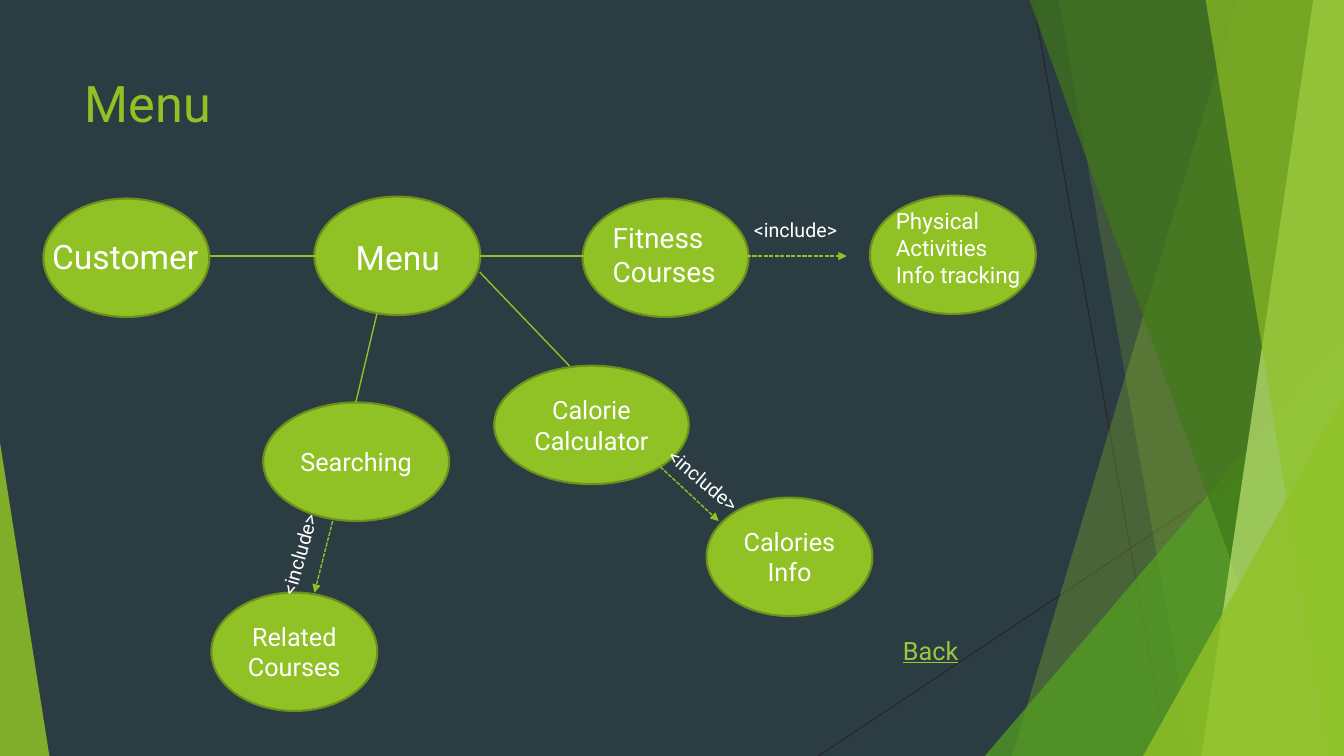
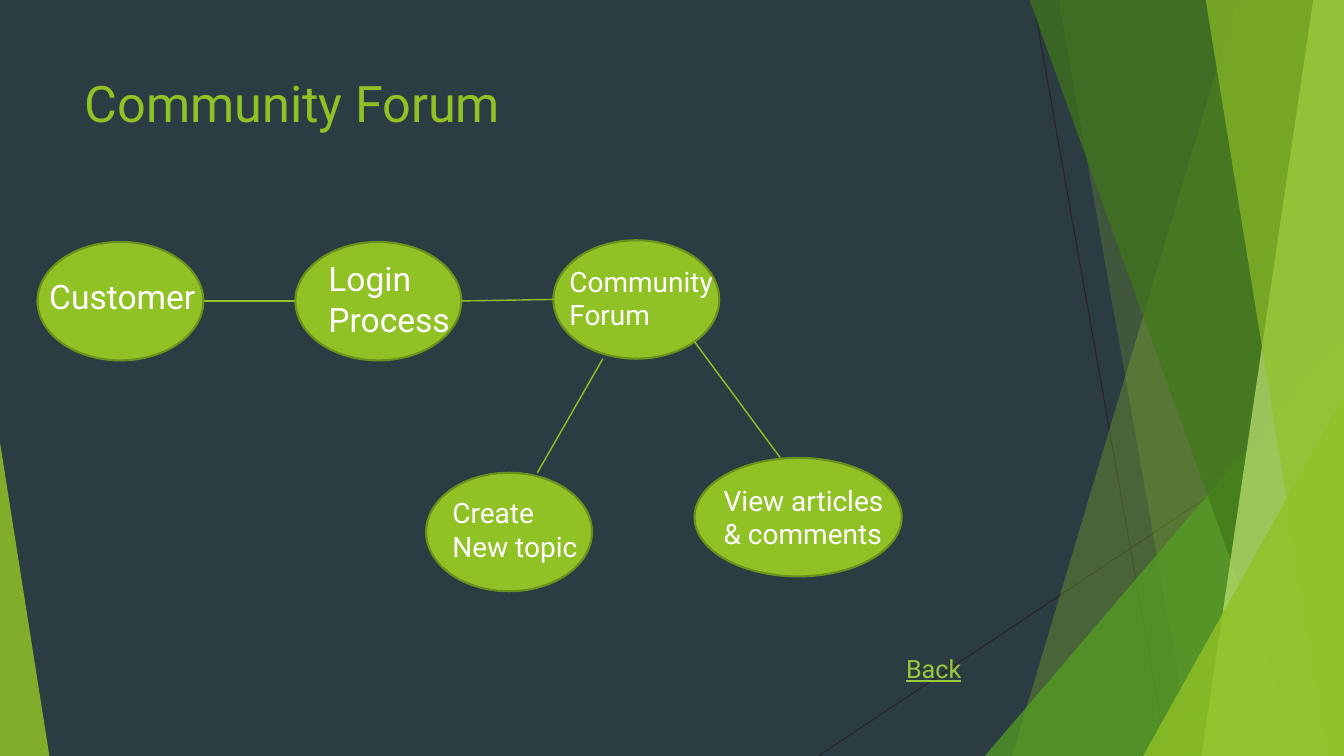
from lxml import etree
from pptx import Presentation
from pptx.dml.color import RGBColor
from pptx.enum.dml import MSO_LINE
from pptx.enum.shapes import MSO_CONNECTOR, MSO_SHAPE, PP_PLACEHOLDER
from pptx.enum.text import MSO_ANCHOR, MSO_AUTO_SIZE, PP_ALIGN
from pptx.oxml.ns import qn
from pptx.util import Pt

STRAIGHT = MSO_CONNECTOR.STRAIGHT
OVAL, TRIANGLE = MSO_SHAPE.OVAL, MSO_SHAPE.ISOSCELES_TRIANGLE
TITLE = PP_PLACEHOLDER.TITLE
TOP, MIDDLE = MSO_ANCHOR.TOP, MSO_ANCHOR.MIDDLE
LEFT, CENTER = PP_ALIGN.LEFT, PP_ALIGN.CENTER
FIT_SHAPE, NO_FIT = MSO_AUTO_SIZE.SHAPE_TO_FIT_TEXT, MSO_AUTO_SIZE.NONE
SYSTEM_DASH = MSO_LINE.SQUARE_DOT

SLATE = RGBColor(0x2C, 0x3C, 0x43)
CHARCOAL = RGBColor(0x26, 0x26, 0x26)
LIME = RGBColor(0x90, 0xC2, 0x26)
OLIVE = RGBColor(0x6B, 0x90, 0x1C)
GREEN = RGBColor(0x54, 0xA0, 0x21)
FOREST = RGBColor(0x3F, 0x78, 0x19)
PALE_LIME = RGBColor(0xC0, 0xE4, 0x74)
LINK_GREEN = RGBColor(0x99, 0xCA, 0x3C)
WHITE = RGBColor(0xFF, 0xFF, 0xFF)

FONT = "Roboto"
WIDTH, HEIGHT = 960, 540
BLEED_TOP = -0.72
OVAL_WIDTH, OVAL_HEIGHT = 118.5, 84.6
OVAL_MARGIN = 3.6
LABEL_WIDTH = 148.3
INCLUDE_WIDTH = 78.5


def draw_line(slide, start, end, color=LIME, width=1, arrow=False):
    """Draw a straight line, dashed with an arrowhead if arrow is set."""
    line = slide.shapes.add_connector(
        STRAIGHT, *[Pt(value) for value in (*start, *end)])
    line.line.color.rgb = color
    line.line.width = Pt(width)
    if arrow:
        line.line.dash_style = SYSTEM_DASH
        etree.SubElement(line.get_or_add_ln(), qn("a:tailEnd"), type="triangle")
    etree.SubElement(line.element.spPr, qn("a:effectLst"))
    return line


def write_text(frame, lines, size, color=WHITE, align=LEFT, anchor=TOP,
               fit=FIT_SHAPE, underline=None):
    """Fill a text frame with one paragraph per line."""
    frame_format = {"word_wrap": True, "vertical_anchor": anchor, "auto_size": fit}
    for name, value in frame_format.items():
        setattr(frame, name, value)
    font_format = {"name": FONT, "size": Pt(size), "underline": underline}
    for index, line in enumerate(lines):
        para = frame.add_paragraph() if index else frame.paragraphs[0]
        para.alignment = align
        span = para.add_run()
        span.text = line
        for name, value in font_format.items():
            setattr(span.font, name, value)
        span.font.color.rgb = color


# Facets, back to front: slanted panels give their top and bottom left corners,
# triangles their left, top, width, height and apex.
FACETS = [
    ("panel", (884.16, 722.88), LIME, 30),
    ("panel", (756, 851.76), LIME, 20),
    ("triangle", (703.44, 239.76, 256.56, 300.24, 1), GREEN, 72),
    ("panel", (735.12, 929.52), FOREST, 70),
    ("panel", (938.16, 858.24), PALE_LIME, 70),
    ("panel", (861.12, 948.96), LIME, 65),
    ("triangle", (816.48, 282.96, 143.52, 257.04, 1), LIME, 80),
    ("triangle", (0, 316.08, 35.28, 223.92, 0), LIME, 85),
]

# Nodes: left, top, width, lines inside.
# Labels: left, top, width, size, lines, rotation.
# Links: start, end, arrow.
SLIDES = [
    {
        "title": "Menu",
        "back": (637.9, 450),
        "nodes": [
            (31, 141.8, OVAL_WIDTH, []),
            (224.6, 140.4, OVAL_WIDTH, []),
            (416.2, 141.8, OVAL_WIDTH, []),
            (621.4, 139.7, OVAL_WIDTH, []),
            (353, 261.2, 139, ["Calorie", "Calculator"]),
            (504.7, 355.4, OVAL_WIDTH, ["Calories Info"]),
            (151, 423.2, OVAL_WIDTH, ["Related Courses"]),
            (188, 287.5, 132.8, ["Searching"]),
        ],
        "labels": [
            (30.2, 164.9, LABEL_WIDTH, 24, ["Customer"], 0),
            (430.6, 154.1, LABEL_WIDTH, 20, ["Fitness", "Courses"], 0),
            (247, 165.6, 79.2, 24, ["Menu"], 0),
            (632.9, 144.3, LABEL_WIDTH, 16,
             ["Physical", "Activities", "Info tracking"], 0),
            (531.4, 151.9, INCLUDE_WIDTH, 14, ["<include>"], 0),
            (465.1, 332.6, INCLUDE_WIDTH, 14, ["<include>"], 40),
            (175, 381.6, INCLUDE_WIDTH, 14, ["<include>"], 285.8),
        ],
        "links": [
            ((533.5, 182.9), (604.8, 182.9), True),
            ((237.6, 372.2), (224.6, 423.4), True),
            ((471.6, 333.4), (513.4, 372.2), True),
            ((149.8, 182.9), (237.6, 182.9), False),
            ((269.3, 223.9), (254.2, 287.3), False),
            ((342.7, 194.4), (406.8, 261.4), False),
            ((342.7, 182.9), (430.6, 182.9), False),
        ],
    },
    {
        "title": "Community Forum",
        "back": (640.1, 463),
        "nodes": [
            (211, 172.8, OVAL_WIDTH, []),
            (26.8, 172.8, OVAL_WIDTH, []),
            (395.3, 171.6, OVAL_WIDTH, []),
            (304.4, 337.7, OVAL_WIDTH, []),
            (496.1, 327.1, 148, []),
        ],
        "labels": [
            (28.1, 193.7, LABEL_WIDTH, 24, ["Customer"], 0),
            (316.1, 350.6, LABEL_WIDTH, 20, ["Create", "New topic"], 0),
            (509.8, 341.5, LABEL_WIDTH, 20, ["View articles", "& comments"], 0),
            (227.5, 180.9, LABEL_WIDTH, 24, ["Login Process"], 0),
            (399.6, 185.2, LABEL_WIDTH, 20, ["Community", "Forum"], 0),
        ],
        "links": [
            ((145.4, 215), (211, 215), False),
            ((329, 215), (395.3, 213.9), False),
            ((430.6, 256.3), (383.8, 337.7), False),
            ((496.1, 244.1), (557.3, 326.9), False),
        ],
    },
]

deck = Presentation()
deck.slide_width, deck.slide_height = Pt(WIDTH), Pt(HEIGHT)
layout = deck.slide_layouts[5]
layout.background.fill.solid()
layout.background.fill.fore_color.rgb = SLATE
for holder in list(layout.placeholders):
    if holder.placeholder_format.type != TITLE:
        holder.element.getparent().remove(holder.element)
pages = [deck.slides.add_slide(layout) for content in SLIDES]

# The backdrop is drawn once and then moved to the shared layout.
canvas = pages[0]
backdrop = [
    draw_line(canvas, (738, 0), (833.76, HEIGHT), CHARCOAL, 0.75),
    draw_line(canvas, (WIDTH, 290.16), (584.64, HEIGHT), CHARCOAL, 0.75),
]
for kind, geometry, color, opacity in FACETS:
    if kind == "panel":
        top_left, bottom_left = geometry
        outline = canvas.shapes.build_freeform(Pt(top_left), Pt(BLEED_TOP))
        corners = [(WIDTH, BLEED_TOP), (WIDTH, HEIGHT), (bottom_left, HEIGHT)]
        outline.add_line_segments([(Pt(x), Pt(y)) for x, y in corners], close=True)
        facet = outline.convert_to_shape()
    else:
        *frame, apex = geometry
        facet = canvas.shapes.add_shape(TRIANGLE, *[Pt(value) for value in frame])
        facet.adjustments[0] = apex
    facet.shadow.inherit = False
    facet.line.fill.background()
    facet.fill.solid()
    facet.fill.fore_color.rgb = color
    tint = facet.element.spPr.find(qn("a:solidFill"))[0]
    etree.SubElement(tint, qn("a:alpha"), val=str(opacity * 1000))
    backdrop.append(facet)
for part in backdrop:
    layout.shapes.element.append(part.element)

for page, content in zip(pages, SLIDES):
    title = page.shapes.title
    title.left, title.top, title.width, title.height = (
        Pt(value) for value in (53.3, 48, 676.8, 104))
    write_text(title.text_frame, [content["title"]], 36, LIME, fit=NO_FIT)

    back = page.shapes.add_textbox(
        *[Pt(value) for value in (*content["back"], 92.2, 28.8)])
    write_text(back.text_frame, ["Back"], 18, LINK_GREEN, underline=True)

    for left, top, width, lines in content["nodes"]:
        node = page.shapes.add_shape(
            OVAL, Pt(left), Pt(top), Pt(width), Pt(OVAL_HEIGHT))
        node.shadow.inherit = False
        node.fill.solid()
        node.fill.fore_color.rgb = LIME
        node.line.color.rgb = OLIVE
        node.line.width = Pt(1.5)
        for side in ("margin_left", "margin_right"):
            setattr(node.text_frame, side, Pt(OVAL_MARGIN))
        write_text(node.text_frame, lines, 18, align=CENTER, anchor=MIDDLE,
                   fit=NO_FIT)

    for start, end, arrow in content["links"]:
        draw_line(page, start, end, arrow=arrow)

    for left, top, width, size, lines, rotation in content["labels"]:
        height = 7.2 + 1.2 * size * len(lines)
        label = page.shapes.add_textbox(Pt(left), Pt(top), Pt(width), Pt(height))
        label.rotation = rotation
        write_text(label.text_frame, lines, size)

deck.save("out.pptx")
